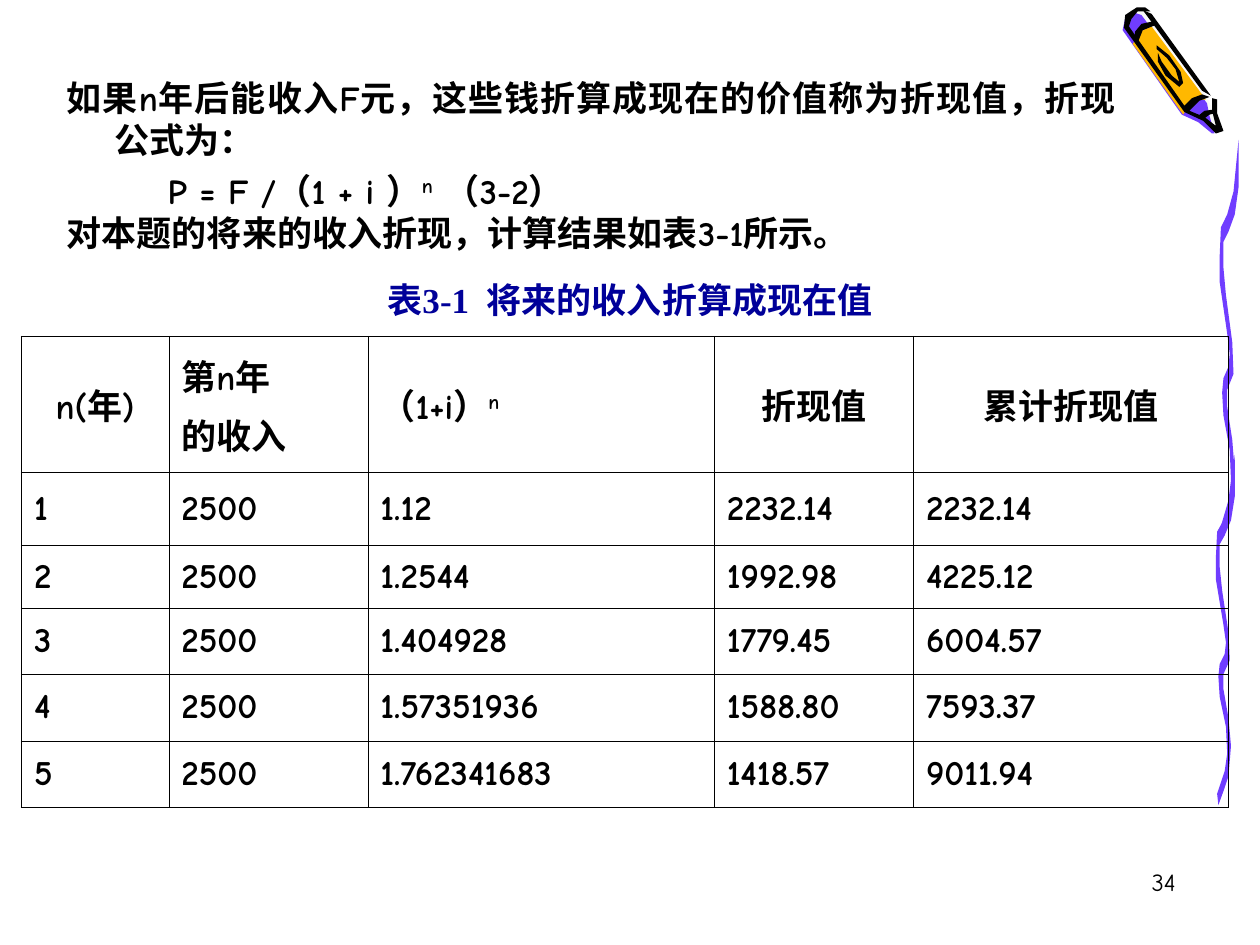
from dataclasses import dataclass

from lxml.etree import SubElement
from pptx import Presentation
from pptx.dml.color import RGBColor as Color
from pptx.enum.text import MSO_ANCHOR as Anchor, MSO_AUTO_SIZE as AutoSize, PP_ALIGN as Align
from pptx.oxml.ns import qn
from pptx.util import Inches, Pt


@dataclass(frozen=True)
class Theme:
    ink: str = "000000"
    caption: str = "000099"
    purple: str = "703DFF"
    yellow: str = "FFB800"
    pale: str = "F8F8F8"
    text_font: str = "Comic Neue"
    caption_font: str = "Times New Roman"
    text_size: int = 20
    number_size: int = 14
    outer_line: float = 0.75
    inner_line: float = 0.34


# Brush stroke down the right edge
STROKE = [
    (9.66, 6.3), (9.72, 6.12), (9.74, 5.98), (9.73, 5.77), (9.68, 5.53), (9.67, 5.37), (9.68, 5.27),
    (9.72, 5.19), (9.73, 5.1), (9.71, 4.96), (9.65, 4.6), (9.65, 4.42), (9.66, 4.22), (9.71, 4.13),
    (9.76, 3.97), (9.8, 3.61), (9.8, 3.94), (9.77, 4.13), (9.72, 4.25), (9.68, 4.32), (9.68, 4.5),
    (9.7, 4.69), (9.75, 5.02), (9.76, 5.24), (9.71, 5.35), (9.71, 5.47), (9.75, 5.7), (9.77, 5.92),
    (9.75, 6.16), (9.71, 6.28), (9.67, 6.39)]
STROKE_TOP, UPPER_TOP, UPPER_SHIFT, UPPER_STRETCH = 3.61, 1.11, 0.03, 1.14
UPPER_STROKE = [(x + UPPER_SHIFT, UPPER_TOP + (y - STROKE_TOP) * UPPER_STRETCH) for x, y in STROKE]

# Crayon parts from back to front: theme colour and outline
CRAYON = [
    ("pale", [(9.68, 1.02), (9.63, 0.88), (9.52, 0.65), (9.1, 0.08), (9.03, 0.07), (8.96, 0.12),
              (8.94, 0.21), (9.41, 0.87), (9.56, 0.94), (9.66, 1.03)]),
    ("purple", [(9.06, 0.12), (9.58, 0.82), (9.6, 0.92), (9.64, 1.06), (9.62, 1.06), (9.51, 0.97),
                (9.38, 0.91), (8.91, 0.24), (8.93, 0.15), (9, 0.1)]),
    ("yellow", [(8.99, 0.35), (9.39, 0.91), (9.46, 0.8), (9.57, 0.79), (9.14, 0.21), (9.05, 0.25)]),
    ("ink", [(9.63, 0.87), (9.56, 0.88), (9.51, 0.92), (9.56, 0.94), (9.6, 0.91), (9.64, 0.9)]),
    ("ink", [(9.09, 0.06), (9.02, 0.06), (8.93, 0.12), (8.92, 0.22), (9.4, 0.89), (9.55, 0.96),
             (9.65, 1.06), (9.71, 1.04), (9.66, 0.9), (9.66, 0.79), (9.62, 0.78), (9.62, 0.88),
             (9.65, 1), (9.56, 0.93), (9.44, 0.88), (9.52, 0.8), (9.6, 0.77), (9.54, 0.75),
             (9.46, 0.78), (9.4, 0.84), (8.96, 0.21), (8.98, 0.15), (9.03, 0.09), (9.13, 0.09)]),
    ("ink", [(9.14, 0.11), (9.61, 0.76), (9.54, 0.72), (9.07, 0.08)]),
    ("ink", [(9.15, 0.17), (9.06, 0.19), (9.01, 0.25), (9, 0.31), (9.03, 0.34), (9.07, 0.24),
             (9.17, 0.2)]),
    ("ink", [(9.18, 0.39), (9.26, 0.46), (9.33, 0.55), (9.36, 0.65), (9.3, 0.6), (9.22, 0.49),
             (9.19, 0.42), (9.19, 0.49), (9.25, 0.6), (9.36, 0.69), (9.39, 0.66), (9.37, 0.57),
             (9.28, 0.44), (9.18, 0.36)]),
]

# Each line of text is a tuple of parts; every second part is a superscript
HANGING, FORMULA = (0.38, -0.38), (0, 0.8)
BODY = [
    (("如果n年后能收入F元，这些钱折算成现在的价值称为折现值，折现公式为：",), HANGING, 1.0),
    (("P = F /（1 + i ）", "n", "\t（3-2）"), FORMULA, 1.2),
    (("对本题的将来的收入折现，计算结果如表3-1所示。",), HANGING, 1.0),
]
FORMULA_TAB = 6.12

HEADER = [
    ([("n(年)",)], Align.CENTER),
    ([("第n年",), ("的收入",)], Align.LEFT),
    ([("（1+i）", "n")], Align.LEFT),
    ([("折现值",)], Align.CENTER),
    ([("累计折现值",)], Align.CENTER),
]
YEARS = [
    ("1", "2500", "1.12", "2232.14", "2232.14"),
    ("2", "2500", "1.2544", "1992.98", "4225.12"),
    ("3", "2500", "1.404928", "1779.45", "6004.57"),
    ("4", "2500", "1.57351936", "1588.80", "7593.37"),
    ("5", "2500", "1.762341683", "1418.57", "9011.94"),
]
COLUMN_WIDTHS = [1.17, 1.58, 2.75, 1.58, 2.5]
ROW_HEIGHTS = [1.08, 0.58, 0.5, 0.52, 0.53, 0.53]


class SlideBuilder:
    def __init__(self, page, theme):
        self.page, self.theme = page, theme

    def place(self, box, left, top, width, height):
        values = {"left": left, "top": top, "width": width, "height": height}
        for name, value in values.items():
            setattr(box, name, Inches(value))

    def add_text(self, para, parts, align=Align.LEFT, **changes):
        para.alignment = align
        look = {"name": self.theme.text_font, "size": self.theme.text_size, "bold": True,
                "color": self.theme.ink} | changes
        for index, part in enumerate(parts):
            span = para.add_run()
            span.text = part
            for name in ("name", "bold"):
                setattr(span.font, name, look[name])
            span.font.size = Pt(look["size"])
            span.font.color.rgb = Color.from_string(look["color"])
            if index % 2:
                span._r.get_or_add_rPr().set("baseline", "30000")

    def outlines(self, parts):
        group = self.page.shapes.add_group_shape()
        for color, points in parts:
            corners = [(Inches(x), Inches(y)) for x, y in points]
            builder = group.shapes.build_freeform(*corners[0], scale=1.0)
            builder.add_line_segments(corners[1:], close=True)
            shape = builder.convert_to_shape()
            shape.shadow.inherit = False
            shape.fill.solid()
            shape.fill.fore_color.rgb = Color.from_string(getattr(self.theme, color))
            shape.line.fill.background()

    def title(self, text, *place):
        box = self.page.shapes.title
        self.place(box, *place)
        frame = box.text_frame
        frame.auto_size, frame.vertical_anchor = AutoSize.NONE, Anchor.BOTTOM
        self.add_text(frame.paragraphs[0], (text,), Align.CENTER,
                      name=self.theme.caption_font, color=self.theme.caption)

    def body(self, lines, *place):
        box = self.page.placeholders[1]
        self.place(box, *place)
        frame = box.text_frame
        frame.auto_size, frame.vertical_anchor = AutoSize.NONE, Anchor.TOP
        for index, (parts, (margin, indent), spacing) in enumerate(lines):
            para = frame.add_paragraph() if index else frame.paragraphs[0]
            props = para._p.get_or_add_pPr()
            props.set("marL", str(Inches(margin)))
            props.set("indent", str(Inches(indent)))
            SubElement(props, qn("a:buNone"))
            if any("\t" in part for part in parts):
                tabs = SubElement(props, qn("a:tabLst"))
                SubElement(tabs, qn("a:tab"), pos=str(Inches(FORMULA_TAB)), algn="l")
            para.space_before, para.line_spacing = Pt(0), spacing
            self.add_text(para, parts, Align.JUSTIFY)

    def borders(self, cell, outer_sides):
        props = cell._tc.get_or_add_tcPr()
        for side in "LRTB":
            width = self.theme.outer_line if side in outer_sides else self.theme.inner_line
            line = SubElement(props, qn(f"a:ln{side}"), w=str(Pt(width)))
            fill = SubElement(line, qn("a:solidFill"))
            SubElement(fill, qn("a:srgbClr"), val=self.theme.ink)

    def table(self, rows, left, top):
        widths, heights = COLUMN_WIDTHS, ROW_HEIGHTS
        table = self.page.shapes.add_table(
            len(heights), len(widths), Inches(left), Inches(top),
            Inches(sum(widths)), Inches(sum(heights))).table
        table.first_row = table.horz_banding = False
        for column, width in zip(table.columns, widths):
            column.width = Inches(width)
        for r, row in enumerate(rows):
            table.rows[r].height = Inches(heights[r])
            for c, (lines, align) in enumerate(row):
                cell = table.cell(r, c)
                edges = {"L": c == 0, "R": c == len(widths) - 1,
                         "T": r == 0, "B": r == len(heights) - 1}
                self.borders(cell, [side for side, outer in edges.items() if outer])
                cell.fill.background()
                cell.vertical_anchor = Anchor.MIDDLE
                for index, parts in enumerate(lines):
                    para = cell.text_frame.add_paragraph() if index else cell.text_frame.paragraphs[0]
                    if index:
                        para.space_before = Pt(5)
                    self.add_text(para, parts, align)

    def page_number(self, text, *place):
        box = self.page.shapes.add_textbox(*map(Inches, place))
        box.text_frame.word_wrap = True
        self.add_text(box.text_frame.paragraphs[0], (text,), Align.RIGHT,
                      size=self.theme.number_size, bold=False)


def main():
    deck = Presentation()
    deck.slide_width, deck.slide_height = Inches(10), Inches(7.5)
    slide = SlideBuilder(deck.slides.add_slide(deck.slide_layouts[1]), Theme())

    # Decoration
    slide.outlines([("purple", STROKE), ("purple", UPPER_STROKE)])
    slide.outlines(CRAYON)

    # Text
    slide.title("表3-1  将来的收入折算成现在值", 0.75, 2.17, 8.5, 0.42)
    slide.body(BODY, 0.43, 0.56, 8.53, 1.62)
    slide.page_number("34", 7.35, 6.83, 2.08, 0.5)

    # Discount table
    year_rows = [[([(value,)], Align.LEFT) for value in year] for year in YEARS]
    slide.table([HEADER, *year_rows], 0.17, 2.67)

    deck.save("out.pptx")


if __name__ == "__main__":
    main()
